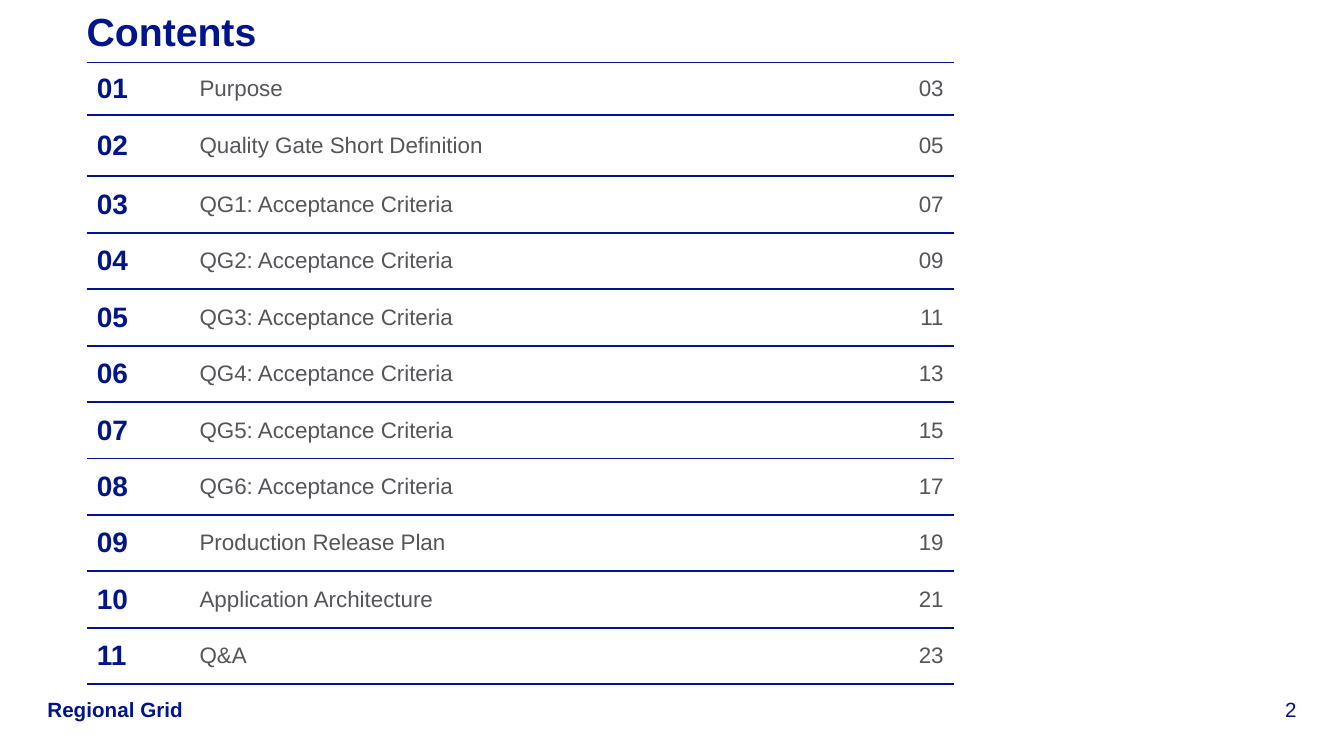
from lxml import etree
from pptx import Presentation
from pptx import util as u
from pptx.dml.color import RGBColor
from pptx.enum import text
from pptx.oxml import ns

WIDTH, HEIGHT = 13.33, 7.5
NAVY, GREY = "00148C", "55555A"
LEFT, RIGHT = text.PP_ALIGN.LEFT, text.PP_ALIGN.RIGHT
TOP, BOTTOM = text.MSO_ANCHOR.TOP, text.MSO_ANCHOR.BOTTOM

TOPICS = ["Purpose", "Quality Gate Short Definition"]
TOPICS += [f"QG{gate}: Acceptance Criteria" for gate in range(1, 7)]
TOPICS += ["Production Release Plan", "Application Architecture", "Q&A"]

COLUMN_WIDTHS = [1.02, 6.37, 1.21]
ROW_HEIGHTS = [0.52, 0.61] + [0.56] * (len(TOPICS) - 2)


def color(hex_string):
    return RGBColor.from_string(hex_string)


class ContentsSlide:
    """Holds the slide and its style; boxes are shares of the slide's size."""

    font_name = "Arial"

    def __init__(self, presentation):
        self.width = presentation.slide_width
        self.height = presentation.slide_height
        self.slide = presentation.slides.add_slide(presentation.slide_layouts[5])

    def box(self, left, top, width, height):
        return (round(left * self.width), round(top * self.height),
                round(width * self.width), round(height * self.height))

    def set_words(self, frame, words, size, hex_string, bold=False, align=LEFT):
        frame.text = words
        frame.word_wrap = True
        paragraph = frame.paragraphs[0]
        paragraph.alignment = align
        font = paragraph.runs[0].font
        font.name, font.size, font.bold = self.font_name, u.Pt(size), bold
        font.color.rgb = color(hex_string)

    def pin(self, frame, anchor):
        """Remove the insets and fix the text to one edge of its box."""
        frame.margin_left = frame.margin_right = 0
        frame.margin_top = frame.margin_bottom = 0
        frame.vertical_anchor = anchor
        frame.auto_size = text.MSO_AUTO_SIZE.NONE

    def title(self, words, box):
        shape = self.slide.shapes.title
        shape.left, shape.top, shape.width, shape.height = self.box(*box)
        self.set_words(shape.text_frame, words, 28, NAVY, bold=True)
        self.pin(shape.text_frame, TOP)

    def footer(self, words, box, bold=False, align=LEFT):
        shape = self.slide.shapes.add_textbox(*self.box(*box))
        self.set_words(shape.text_frame, words, 14.7, NAVY, bold, align)
        self.pin(shape.text_frame, BOTTOM)

    def rule(self, cell):
        """Draw the cell's top and bottom borders and hide its sides."""
        properties = cell._tc.get_or_add_tcPr()
        for position, side in enumerate(("lnL", "lnR", "lnT", "lnB")):
            line = etree.Element(ns.qn(f"a:{side}"), w=str(u.Pt(1.5)))
            if side in ("lnT", "lnB"):
                fill = etree.SubElement(line, ns.qn("a:solidFill"))
                etree.SubElement(fill, ns.qn("a:srgbClr"), val=NAVY)
            else:
                etree.SubElement(line, ns.qn("a:noFill"))
            properties.insert(position, line)

    def contents_table(self, topics, left, top):
        box = self.box(left, top, sum(COLUMN_WIDTHS) / WIDTH, sum(ROW_HEIGHTS) / HEIGHT)
        table = self.slide.shapes.add_table(len(topics), len(COLUMN_WIDTHS), *box).table
        table.first_row = table.horz_banding = False
        for column, width in zip(table.columns, COLUMN_WIDTHS):
            column.width = u.Inches(width)
        for row, height in zip(table.rows, ROW_HEIGHTS):
            row.height = u.Inches(height)
        for index, topic in enumerate(topics):
            number, name, page = table.rows[index].cells
            self.set_words(number.text_frame, f"{index + 1:02}", 20, NAVY, bold=True)
            self.set_words(name.text_frame, topic, 16, GREY)
            self.set_words(page.text_frame, f"{2 * index + 3:02}", 16, GREY, align=RIGHT)
            for cell in (number, name, page):
                cell.vertical_anchor = text.MSO_ANCHOR.MIDDLE
                cell.margin_left = cell.margin_right = u.Inches(0.1)
                cell.margin_top = cell.margin_bottom = u.Inches(0.1)
                cell.fill.background()
                self.rule(cell)
            for cell in (name, page):
                cell.text_frame.paragraphs[0].space_after = u.Pt(6)


def main():
    presentation = Presentation()
    presentation.slide_width = u.Inches(WIDTH)
    presentation.slide_height = u.Inches(HEIGHT)
    page = ContentsSlide(presentation)
    left = 0.86 / WIDTH
    footer_top, footer_height = 6.91 / HEIGHT, 0.25 / HEIGHT
    page.footer("2", (12.08 / WIDTH, footer_top, 0.78 / WIDTH, footer_height), align=RIGHT)
    page.footer("Regional Grid", (0.47 / WIDTH, footer_top, 1.5 / WIDTH, footer_height), bold=True)
    page.title("Contents", (left, 0.07 / HEIGHT, 12.39 / WIDTH, 0.63 / HEIGHT))
    page.contents_table(TOPICS, left, 0.62 / HEIGHT)
    presentation.save("out.pptx")


if __name__ == "__main__":
    main()
